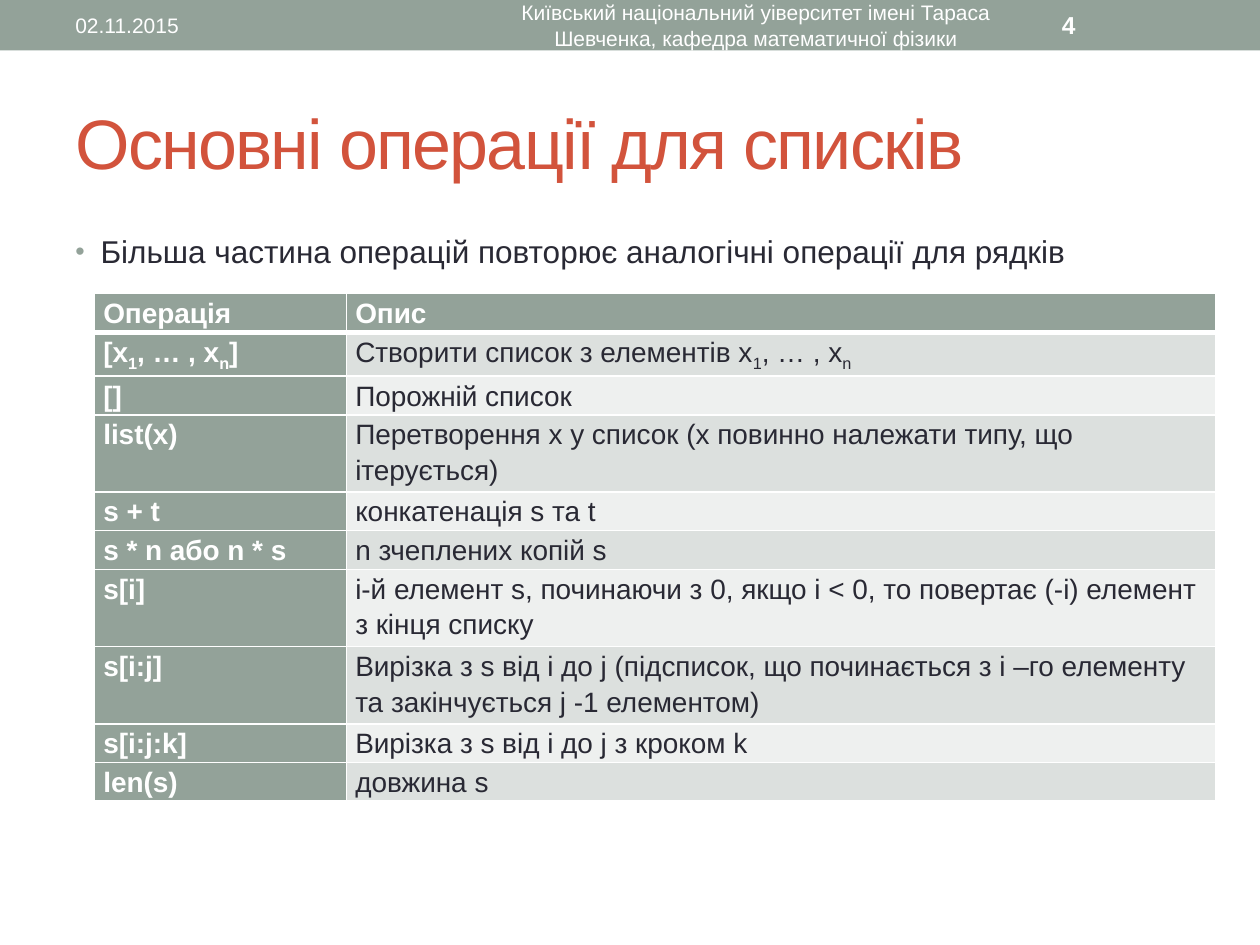
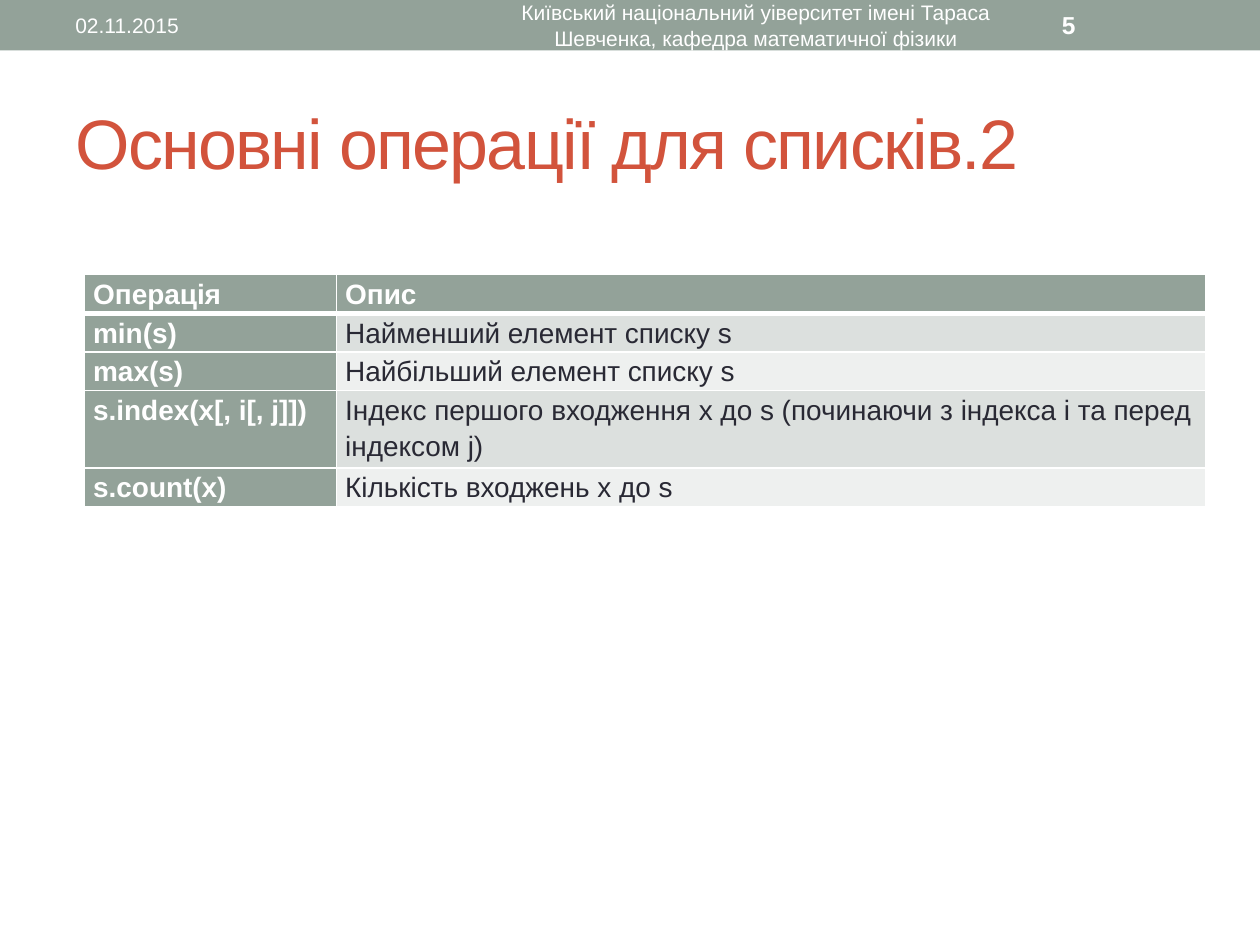
from lxml.etree import SubElement
from pptx import Presentation
from pptx.dml.color import RGBColor
from pptx.enum.shapes import MSO_SHAPE
from pptx.enum.text import MSO_ANCHOR, MSO_AUTO_SIZE, PP_ALIGN
from pptx.oxml import parse_xml
from pptx.oxml.ns import nsdecls, qn
from pptx.util import Inches, Pt

COLORS = {"sage": "93A299", "title": "D2533C", "ink": "292934",
          "white": "FFFFFF", "odd": "DCE0DE", "even": "EEF0EF"}
FONT = "Arial"
DATE = "02.11.2015"
FOOTER = "Київський національний уіверситет імені Тараса Шевченка, кафедра математичної фізики"
LINE_HEIGHT = 0.28
HEADER = ("Операція", "Опис", 1)


def rgb(name):
    return RGBColor.from_string(COLORS[name])


def write(frame, text, size=16, color="ink", bold=False, align=PP_ALIGN.LEFT,
          spacing=None, tracking=None):
    """Fill a text frame; parts between tildes become subscripts."""
    paragraph = frame.paragraphs[0]
    paragraph.alignment = align
    if spacing:
        paragraph.line_spacing = spacing
    for index, part in enumerate(text.split("~")):
        if not part:
            continue
        run = paragraph.add_run()
        run.text = part
        run.font.name, run.font.size, run.font.bold = FONT, Pt(size), bold
        run.font.color.rgb = rgb(color)
        properties = run.font._element
        if index % 2:
            properties.set("baseline", "-25000")
        if tracking:
            properties.set("spc", str(tracking * 100))
    return paragraph


class Deck:
    def __init__(self):
        self.presentation = Presentation()
        self.presentation.slide_width = Inches(10)
        self.presentation.slide_height = Inches(7.5)
        self.slide = None

    def start(self, title, number):
        layout = self.presentation.slide_layouts[5]
        self.slide = self.presentation.slides.add_slide(layout)
        self.band()
        self.title(title)
        self.label(0.5, 0.02, 3.17, 0.36, DATE, size=12, color="white")
        self.label(3.75, 0.02, 4.5, 0.36, FOOTER, size=12, color="white",
                   align=PP_ALIGN.CENTER)
        self.label(8.33, 0.02, 1.17, 0.36, str(number), size=14,
                   color="white", bold=True)

    def band(self):
        band = self.slide.shapes.add_shape(
            MSO_SHAPE.RECTANGLE, 0, 0, Inches(10), Inches(0.4))
        band.shadow.inherit = False
        band.fill.solid()
        band.fill.fore_color.rgb = rgb("sage")
        band.line.fill.background()

    def title(self, text):
        title = self.slide.shapes.title
        title.left, title.top = Inches(0.5), Inches(0.58)
        title.width, title.height = Inches(9), Inches(1.08)
        title.text_frame.auto_size = MSO_AUTO_SIZE.NONE
        title.text_frame.vertical_anchor = MSO_ANCHOR.MIDDLE
        write(title.text_frame, text, size=40, color="title", tracking=-1)

    def label(self, left, top, width, height, text,
              anchor=MSO_ANCHOR.MIDDLE, **style):
        box = self.slide.shapes.add_textbox(
            Inches(left), Inches(top), Inches(width), Inches(height))
        box.text_frame.word_wrap = True
        box.text_frame.vertical_anchor = anchor
        return write(box.text_frame, text, **style)

    def bullet(self, text):
        paragraph = self.label(0.5, 1.75, 9, 5.33, text, size=18,
                               anchor=MSO_ANCHOR.TOP, spacing=1.15)
        paragraph.space_before = Pt(3.6)
        properties = paragraph._p.get_or_add_pPr()
        properties.set("marL", str(Inches(0.2)))
        properties.set("indent", str(-Inches(0.2)))
        color = SubElement(properties, qn("a:buClr"))
        SubElement(color, qn("a:srgbClr"), val=COLORS["sage"])
        SubElement(properties, qn("a:buSzPct"), val="85000")
        SubElement(properties, qn("a:buFont"), typeface=FONT)
        SubElement(properties, qn("a:buChar"), char="•")

    def operations(self, left, top, rows):
        rows = [HEADER, *rows]
        height = LINE_HEIGHT * sum(lines for _, _, lines in rows)
        table = self.slide.shapes.add_table(
            len(rows), 2, Inches(left), Inches(top), Inches(8.9), Inches(height)).table
        table.first_col = True
        table.columns[0].width, table.columns[1].width = Inches(2), Inches(6.9)
        for r, (operation, description, lines) in enumerate(rows):
            table.rows[r].height = Inches(LINE_HEIGHT * lines)
            for c, text in enumerate((operation, description)):
                heading = r == 0 or c == 0
                fill = "sage" if heading else "odd" if r % 2 else "even"
                self.cell(table.cell(r, c), text, fill, heading,
                          top=3 if r == 1 else 1, bottom=3 if r == 0 else 1)

    def cell(self, cell, text, fill, heading, top, bottom):
        cell.margin_left = cell.margin_right = Inches(0.07)
        cell.margin_top = cell.margin_bottom = 0
        cell.fill.solid()
        cell.fill.fore_color.rgb = rgb(fill)
        write(cell.text_frame, text, color="white" if heading else "ink",
              bold=heading, spacing=1.15)
        # Borders come before the fill in the cell properties
        borders = (("L", 1), ("R", 1), ("T", top), ("B", bottom))
        for position, (side, points) in enumerate(borders):
            cell._tc.get_or_add_tcPr().insert(position, parse_xml(
                f'<a:ln{side} {nsdecls("a")} w="{Pt(points)}"><a:solidFill>'
                f'<a:srgbClr val="{COLORS["white"]}"/></a:solidFill></a:ln{side}>'))


deck = Deck()

# Basic list operations: operation, description, lines of text
deck.start("Основні операції для списків", 4)
deck.bullet("Більша частина операцій повторює аналогічні операції для рядків")
deck.operations(0.75, 2.33, [
    ("[x~1~, … , x~n~]", "Створити список з елементів x~1~, … , x~n~", 1),
    ("[]", "Порожній список", 1),
    ("list(x)", "Перетворення x у список (x повинно належати типу, що ітерується)", 2),
    ("s + t", "конкатенація s та t", 1),
    ("s * n або n * s", "n зчеплених копій s", 1),
    ("s[i]", "i-й елемент s, починаючи з 0, якщо i < 0, то повертає (-i) елемент "
             "з кінця списку", 2),
    ("s[i:j]", "Вирізка з s від i до j (підсписок, що починається з i –го елементу "
               "та закінчується j -1 елементом)", 2),
    ("s[i:j:k]", "Вирізка з s від i до j з кроком k", 1),
    ("len(s)", "довжина s", 1),
])

# Search and counting operations
deck.start("Основні операції для списків.2", 5)
deck.operations(0.67, 2.18, [
    ("min(s)", "Найменший елемент списку s", 1),
    ("max(s)", "Найбільший елемент списку s", 1),
    ("s.index(x[, i[, j]])", "Індекс першого входження x до s (починаючи з індекса i "
                             "та перед індексом j)", 2),
    ("s.count(x)", "Кількість входжень x до s", 1),
])

deck.presentation.save("out.pptx")
